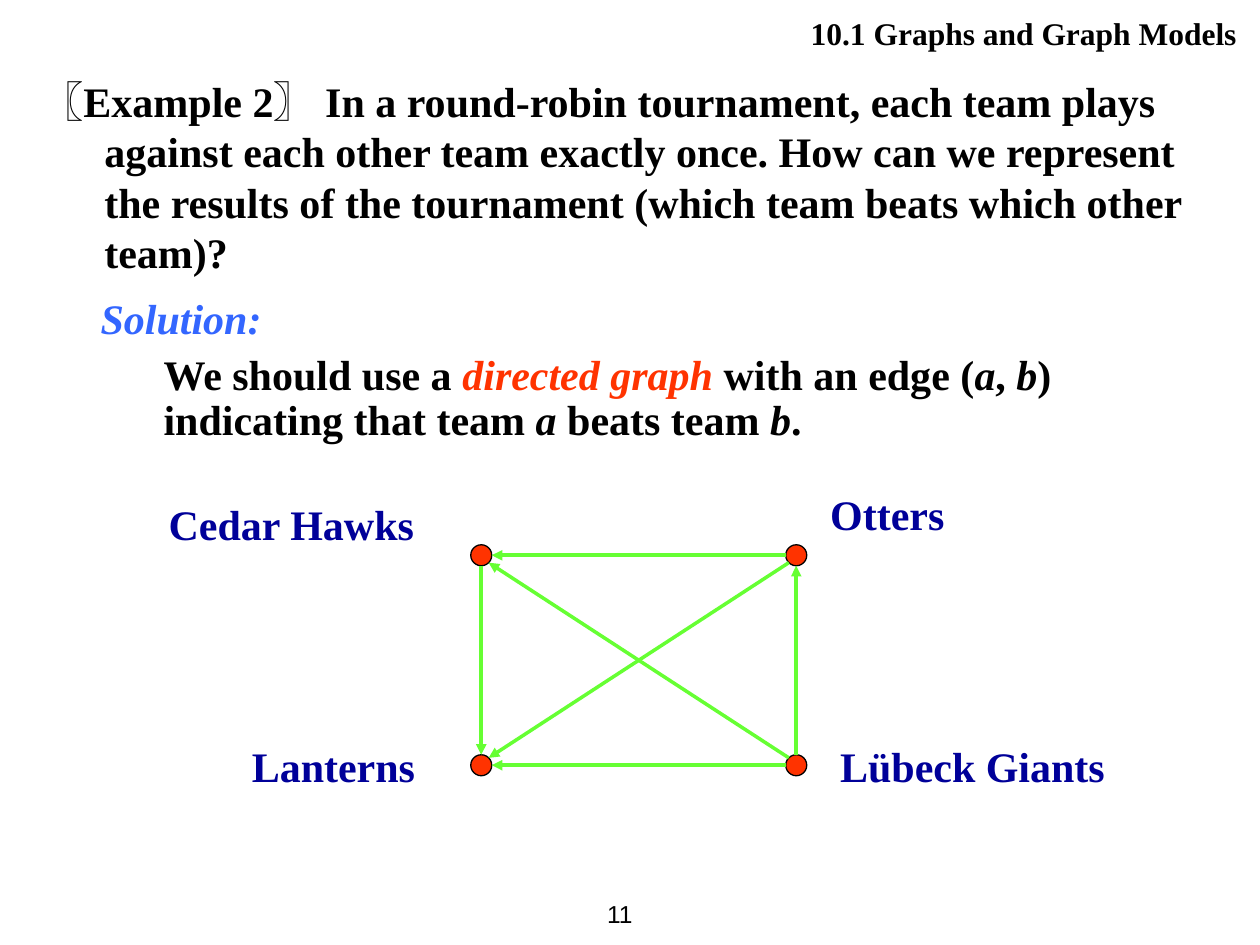
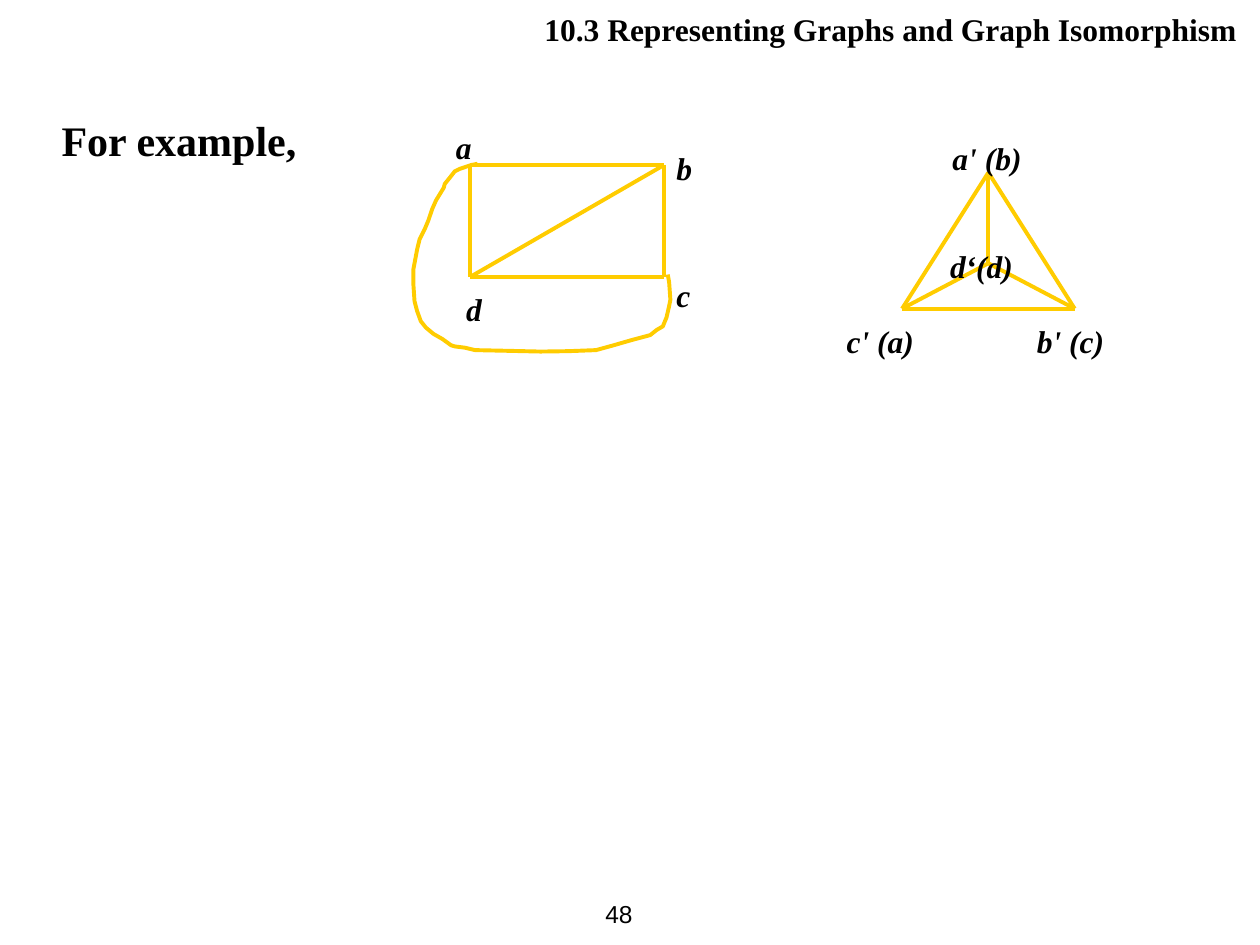
import math

import pptx
import pptx.dml.color
import pptx.enum.shapes
import pptx.enum.text
import pptx.oxml
import pptx.oxml.ns
import pptx.util

Pt = pptx.util.Pt
ALIGN = pptx.enum.text.PP_ALIGN
ANCHOR = pptx.enum.text.MSO_ANCHOR
SERIF, SANS = "Times New Roman", "Arial"
BLACK, BLUE, NAVY = "000000", "3366FF", "000099"
RED, GREEN, YELLOW = "FF3300", "66FF33", "FFCC00"
LINE_HEIGHT = 1.2
BODY_SIZE, LABEL_SIZE = 24, 18


def colour(value):
    return pptx.dml.color.RGBColor.from_string(value)


def style_font(font, size, value=BLACK, name=SERIF, bold=True, italic=False):
    font.size, font.name = Pt(size), name
    font.bold, font.italic = bold, italic
    font.color.rgb = colour(value)


def set_margins(text_frame, left, top, right, bottom):
    text_frame.margin_left, text_frame.margin_top = Pt(left), Pt(top)
    text_frame.margin_right, text_frame.margin_bottom = Pt(right), Pt(bottom)


def place(shape, left, top, width, height):
    shape.left, shape.top = Pt(left), Pt(top)
    shape.width, shape.height = Pt(width), Pt(height)


def add_text_box(slide, box, margins=(7.2, 3.6, 7.2, 3.6)):
    shape = slide.shapes.add_textbox(*map(Pt, box))
    shape.text_frame.word_wrap = True
    set_margins(shape.text_frame, *margins)
    return shape.text_frame


def write_runs(paragraph, runs, size=BODY_SIZE, spacing=LINE_HEIGHT):
    """Fill a paragraph with (text, font options) pairs at a fixed line pitch."""
    paragraph.line_spacing = Pt(size * spacing)
    for text, options in runs:
        run = paragraph.add_run()
        run.text = text
        style_font(run.font, size, **options)


def indent(paragraph, left, first_line):
    properties = paragraph._p.get_or_add_pPr()
    properties.set("marL", str(Pt(left)))
    properties.set("indent", str(Pt(first_line)))


def add_line(slide, start, end, value, width, arrow=False):
    line = slide.shapes.add_connector(
        pptx.enum.shapes.MSO_CONNECTOR.STRAIGHT, *map(Pt, (*start, *end)))
    line.line.color.rgb = colour(value)
    line.line.width = Pt(width)
    properties = line._element.spPr
    if arrow:
        tail = pptx.oxml.parse_xml(
            f'<a:tailEnd {pptx.oxml.ns.nsdecls("a")} type="triangle"/>')
        line.line._get_or_add_ln().append(tail)
    properties.append(
        pptx.oxml.parse_xml(f'<a:effectLst {pptx.oxml.ns.nsdecls("a")}/>'))


def add_section_slide(presentation, section, number, title_top):
    """Title-only slide with the section name top right and a page number."""
    slide = presentation.slides.add_slide(presentation.slide_layouts[5])
    title = slide.shapes.title
    place(title, 280, title_top, 440, 36)
    frame = title.text_frame
    frame.text = section
    frame.auto_size = pptx.enum.text.MSO_AUTO_SIZE.NONE
    frame.vertical_anchor = ANCHOR.TOP
    set_margins(frame, 7.2, 10.3, 13.2, 0)
    paragraph = frame.paragraphs[0]
    paragraph.alignment = ALIGN.RIGHT
    paragraph.line_spacing = Pt(18 * LINE_HEIGHT)
    style_font(paragraph.runs[0].font, 18)

    footer = add_text_box(slide, (320.4, 504, 48.2, 36))
    footer.vertical_anchor = ANCHOR.MIDDLE
    footer.text = str(number)
    footer.paragraphs[0].alignment = ALIGN.RIGHT
    style_font(footer.paragraphs[0].runs[0].font, 14, name=SANS, bold=False)
    return slide


def add_problem(slide, box):
    paragraph = add_text_box(slide, box).paragraphs[0]
    indent(paragraph, 36, -36)
    write_runs(paragraph, [
        ("〖", {"name": SANS}),
        ("Example 2", {}),
        ("〗 ", {"name": SANS}),
        ("In a round-robin tournament, each team plays against each other "
         "team exactly once. How can we represent the results of the "
         "tournament (which team beats which other team)?", {}),
    ])


def add_solution(slide, box):
    frame = add_text_box(slide, box)
    write_runs(frame.paragraphs[0],
               [("Solution:", {"value": BLUE, "italic": True})])
    answer = frame.add_paragraph()
    indent(answer, 36, 0)
    answer.space_before = Pt(6)
    variable = {"italic": True}
    write_runs(answer, [
        ("We should use a ", {}),
        ("directed graph", {"value": RED, "italic": True}),
        (" with an edge (", {}), ("a", variable), (", ", {}), ("b", variable),
        (") indicating that team ", {}), ("a", variable),
        (" beats team ", {}), ("b", variable), (".", {}),
    ], spacing=0.9 * LINE_HEIGHT)


def add_tournament(slide, box):
    """Four teams at the corners of the box, arrows from winner to loser."""
    left, top, width, height = box
    radius = 6
    # team: (corner column, corner row, label offset and width)
    teams = {
        "Cedar Hawks": (0, 0, -185.7, -35.8, 186),
        "Otters": (1, 0, 192.3, -41.5, 126),
        "Lanterns": (0, 1, -138.2, 102.5, 132),
        "Lübeck Giants": (1, 1, 198, 102.5, 216),
    }
    wins = [
        ("Cedar Hawks", "Lanterns"), ("Otters", "Cedar Hawks"),
        ("Otters", "Lanterns"), ("Lübeck Giants", "Lanterns"),
        ("Lübeck Giants", "Cedar Hawks"), ("Lübeck Giants", "Otters"),
    ]
    centres = {}
    for team, (column, row, label_x, label_y, label_width) in teams.items():
        x, y = left + column * width, top + row * height
        centres[team] = x, y
        node = slide.shapes.add_shape(
            pptx.enum.shapes.MSO_SHAPE.FLOWCHART_CONNECTOR,
            *map(Pt, (x - radius, y - radius, 2 * radius, 2 * radius)))
        node.shadow.inherit = False
        node.fill.solid()
        node.fill.fore_color.rgb = colour(RED)
        node.line.color.rgb = colour(BLACK)
        node.line.width = Pt(0.75)
        label = add_text_box(
            slide, (left + label_x, top + label_y, label_width, 36))
        write_runs(label.paragraphs[0], [(team, {"value": NAVY})])

    for winner, loser in wins:
        (x1, y1), (x2, y2) = centres[winner], centres[loser]
        step_x, step_y = (x2 > x1) - (x2 < x1), (y2 > y1) - (y2 < y1)
        reach = radius / math.hypot(step_x, step_y)
        add_line(slide, (x1 + step_x * reach, y1 + step_y * reach),
                 (x2 - step_x * reach, y2 - step_y * reach), GREEN, 2, True)


def add_graph(slide, origin, vertices, edges, labels):
    """Draw edges between named vertices, then labels, relative to origin."""
    left, top = origin
    for edge in edges:
        start, end = ((left + vertices[name][0], top + vertices[name][1])
                      for name in edge)
        add_line(slide, start, end, YELLOW, 2.25)
    for text, (x, y) in labels.items():
        frame = add_text_box(slide, (left + x, top + y, 50, 21.6), (0, 0, 0, 0))
        write_runs(frame.paragraphs[0], [(text, {"italic": True})], LABEL_SIZE)


def add_rectangle_graph(slide, box):
    left, top, width, height = box
    outer_edge = [
        (4.3, -0.7), (0.7, 0), (-5.8, 2.2), (-8.7, 3.6), (-11.5, 7.2),
        (-14.4, 10.8), (-15, 13), (-19.4, 20.2), (-21.6, 25.2), (-23.8, 31.7),
        (-25.9, 36.7), (-28.8, 42.5), (-30.2, 48.2), (-32.4, 59.8),
        (-32.4, 67.7), (-31.7, 77.8), (-30.2, 83.5), (-28.1, 89.3),
        (-25.2, 92.9), (-20.9, 96.5), (-15.8, 99.4), (-10.8, 103),
        (-8.6, 103.7), (-2.9, 104.4), (2.9, 105.8), (21.6, 106.2),
        (40.3, 106.6), (56.2, 106.4), (72, 105.8), (81.4, 103.2),
        (92.2, 100.1), (103, 97.2), (106.6, 94.3), (110.2, 92.2),
        (112.3, 87.1), (113.8, 80.6), (114.5, 77), (113.8, 67), (113, 62.6),
    ]
    points = [(Pt(left + x), Pt(top + y)) for x, y in outer_edge]
    builder = slide.shapes.build_freeform(*points[0])
    builder.add_line_segments(points[1:], close=False)
    curve = builder.convert_to_shape()
    curve.shadow.inherit = False
    curve.fill.background()
    curve.line.color.rgb = colour(YELLOW)
    curve.line.width = Pt(2.25)

    vertices = {"a": (0, 0), "b": (width, 0),
                "c": (width, height), "d": (0, height)}
    labels = {"a": (-8, -20.9), "b": (118, -9.3),
              "c": (118, 63.4), "d": (-2.2, 71.3)}
    add_graph(slide, (left, top), vertices,
              ["da", "ab", "bc", "cd", "db"], labels)


def add_triangle_graph(slide, box):
    left, top, width, height = box
    vertices = {"a": (width / 2, 0), "b": (width, height),
                "c": (0, height), "d": (width / 2, height * 2 / 3)}
    labels = {"a' (b)": (28.8, -19.4), "b' (c)": (77, 85.7),
              "c' (a)": (-31.7, 85.7), "d‘(d)": (27.4, 42.5)}
    add_graph(slide, (left, top), vertices,
              ["cb", "ab", "ac", "ad", "cd", "db"], labels)


def main():
    presentation = pptx.Presentation()
    presentation.slide_width, presentation.slide_height = Pt(720), Pt(540)

    slide = add_section_slide(
        presentation, "10.1 Graphs and Graph Models", 11, -2.2)
    add_problem(slide, (16.6, 39.6, 686.2, 122.4))
    add_solution(slide, (50.4, 163.4, 653.8, 94.3))
    add_tournament(slide, (275, 317.3, 180, 120))

    slide = add_section_slide(
        presentation, "10.3 Representing Graphs and Graph Isomorphism", 48,
        -4.3)
    lead_in = add_text_box(slide, (28.1, 61.9, 658, 36))
    write_runs(lead_in.paragraphs[0], [("For example,", {})])
    add_rectangle_graph(slide, (268.6, 94.3, 110.9, 64))
    add_triangle_graph(slide, (515.5, 98.6, 98.6, 77.8))

    presentation.save("out.pptx")


if __name__ == "__main__":
    main()
